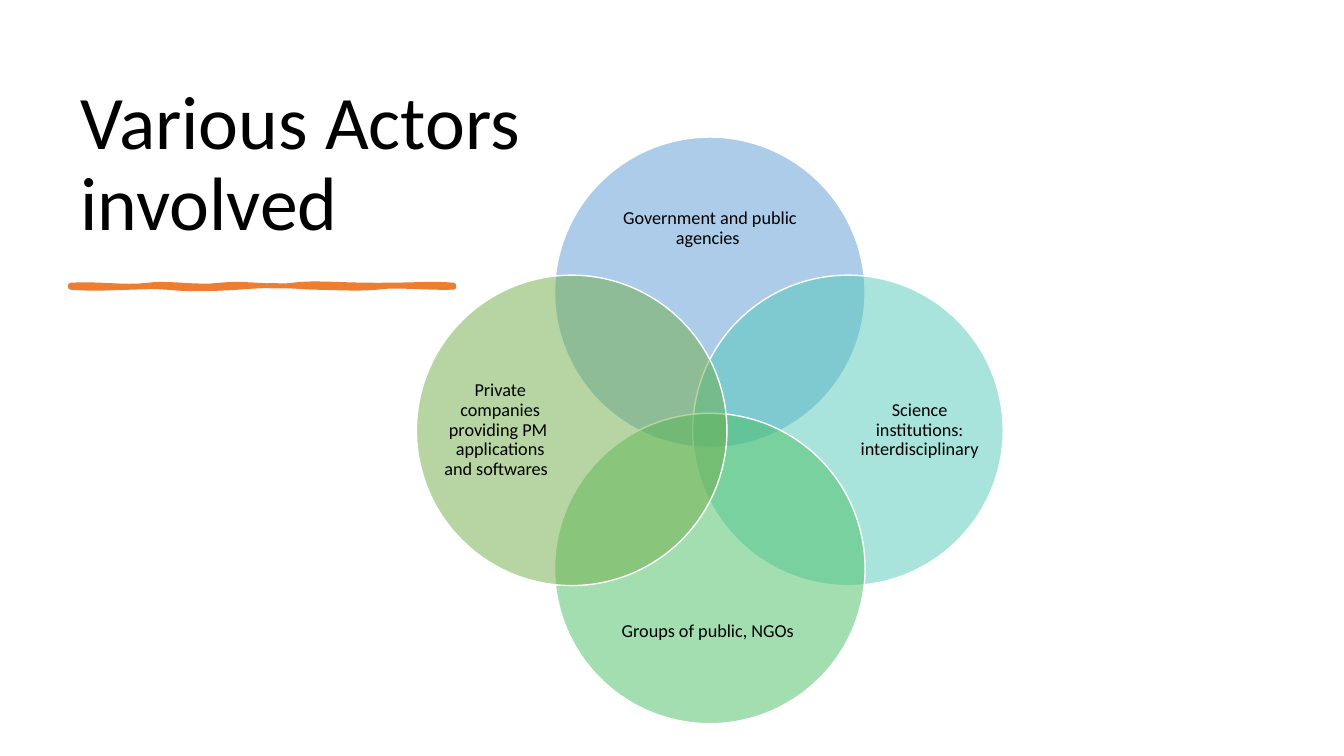
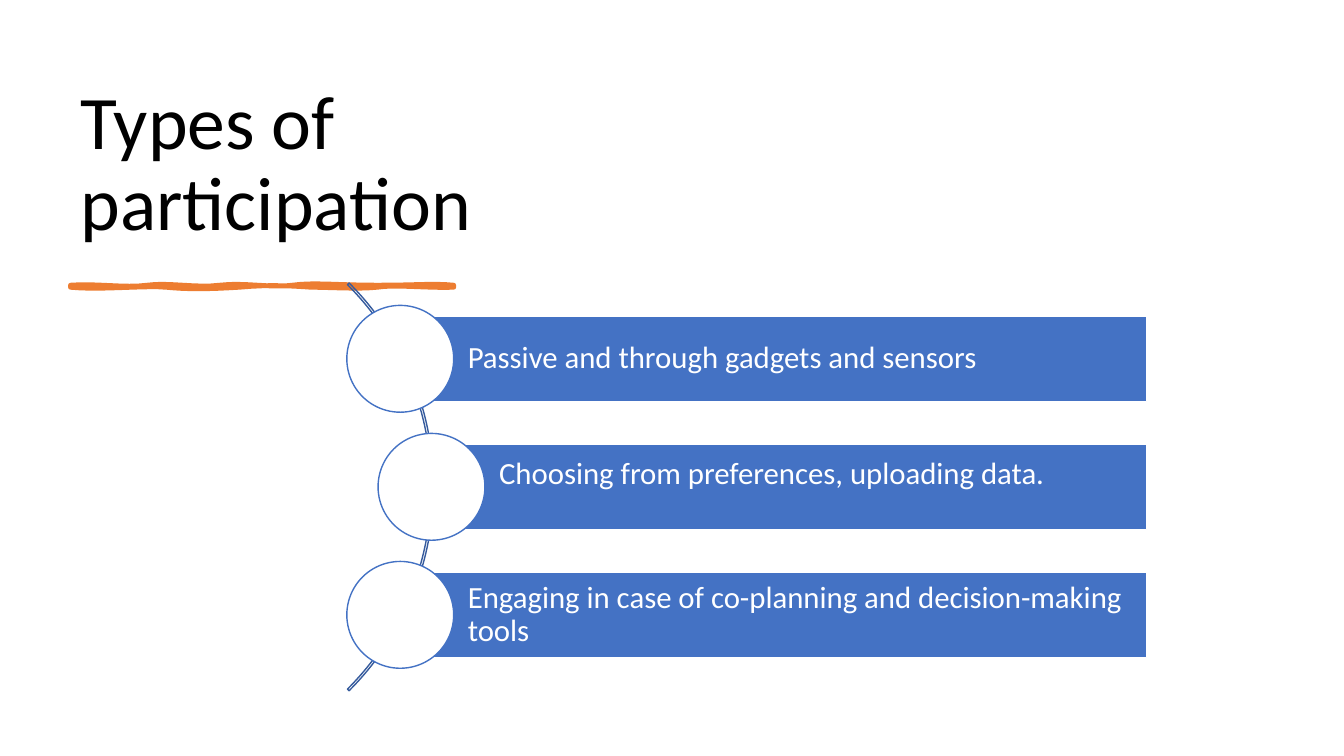
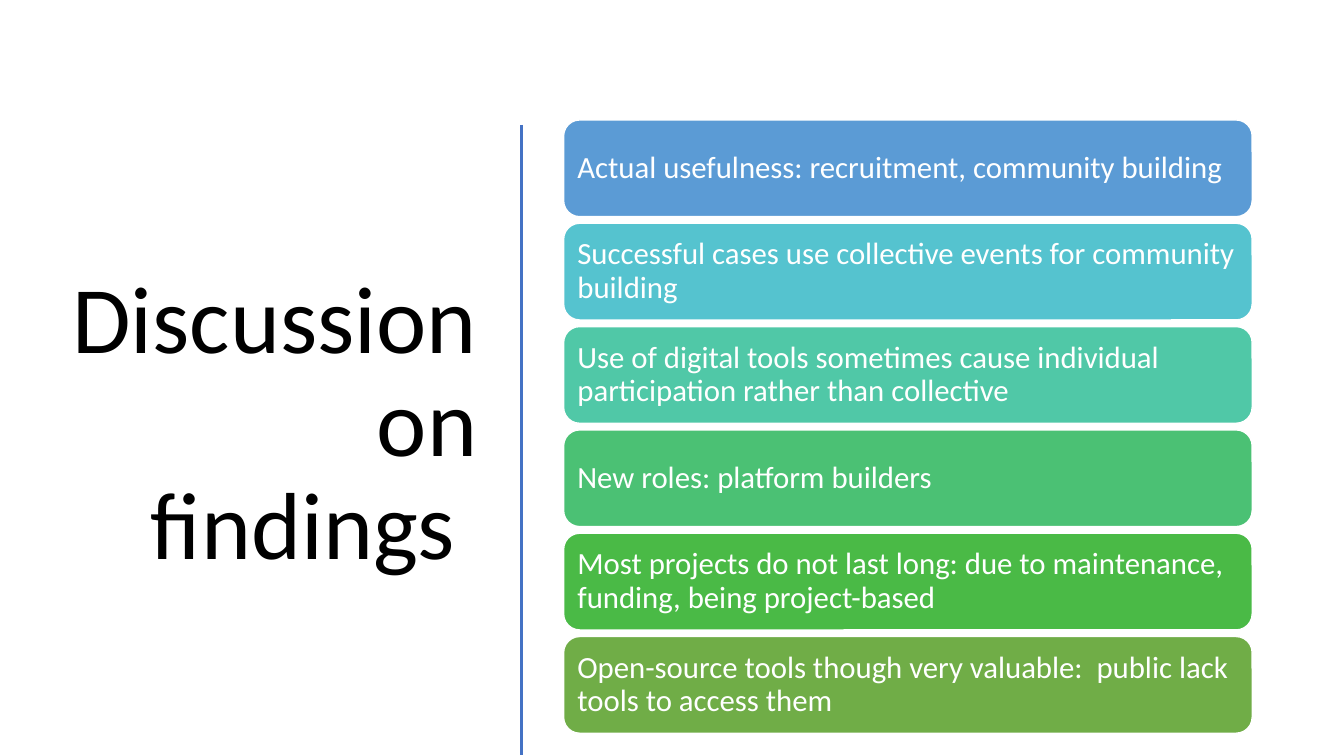
from pptx import Presentation
from pptx.dml.color import RGBColor
from pptx.enum.shapes import MSO_CONNECTOR, MSO_SHAPE as SHAPE
from pptx.enum.text import MSO_ANCHOR as ANCHOR, PP_ALIGN as ALIGN
from pptx.oxml.ns import qn
from pptx.util import Inches, Pt
from lxml import etree

# Shared style
FONT = "Calibri"
BLACK, WHITE, BLUE, ORANGE = "000000", "FFFFFF", "4472C4", "ED7D31"

# Slide 1: label, fill, direction from the centre
ACTORS_TITLE = "Various Actors involved"
ACTORS = [
    ("Government and public agencies ", "5B9BD5", (0, -1)),
    ("Science institutions: interdisciplinary ", "52CAB8", (1, 0)),
    ("Groups of public, NGOs ", "49BF64", (0, 1)),
    ("Private companies providing PM  applications and softwares  ", "70AD47", (-1, 0)),
]

# Slide 2: text, indent, bottom inset, line spacing
TYPES_TITLE = "Types of participation"
TYPES = [
    ("Passive and through gadgets and sensors", 0, 0.06, 0.9),
    ("Choosing from preferences, uploading data.", 0.31, 0.36, 1.0),
    ("Engaging in case of co-planning and decision-making tools", 0, 0.06, 0.9),
]

# Slide 3: text, fill
FINDINGS_TITLE = "Discussion on findings "
FINDINGS = [
    ("Actual usefulness: recruitment, community building", "5B9BD5"),
    ("Successful cases use collective events for community building", "55C3CF"),
    ("Use of digital tools sometimes cause individual participation rather than collective",
     "50C8A7"),
    ("New roles: platform builders", "4BC174"),
    ("Most projects do not last long: due to maintenance, funding, being project-based",
     "4ABA46"),
    ("Open-source tools though very valuable:  public lack tools to access them", "70AD47"),
]

# Hand-drawn rule: start point, then cubic curves (two controls and an end)
RULE_START = (0.7, 2.83)
RULE_CURVES = [
    ((0.95, 2.81), (1.24, 2.86), (1.46, 2.83)),
    ((1.68, 2.8), (1.94, 2.86), (2.18, 2.83)),
    ((2.43, 2.8), (2.69, 2.86), (2.9, 2.83)),
    ((3.12, 2.8), (3.33, 2.83), (3.74, 2.83)),
    ((4.15, 2.83), (4.29, 2.81), (4.5, 2.83)),
    ((4.5, 2.84), (4.5, 2.84), (4.5, 2.85)),
    ((4.24, 2.86), (3.92, 2.82), (3.74, 2.85)),
    ((3.56, 2.87), (3.26, 2.85), (3.09, 2.85)),
    ((2.93, 2.84), (2.69, 2.82), (2.37, 2.85)),
    ((2.06, 2.87), (1.84, 2.87), (1.65, 2.85)),
    ((1.46, 2.83), (0.96, 2.88), (0.7, 2.85)),
]


def rgb(color):
    return RGBColor.from_string(color)


def style(sp, fill=None, line=None, width=1, alpha=None):
    sp.shadow.inherit = False
    if fill:
        sp.fill.solid()
        sp.fill.fore_color.rgb = rgb(fill)
    else:
        sp.fill.background()
    if alpha:
        clr = sp.fill._xPr.find(qn("a:solidFill"))[0]
        etree.SubElement(clr, qn("a:alpha")).set("val", str(alpha * 1000))
    sp.line.color.rgb = rgb(line)
    sp.line.width = Pt(width)


def add_shape(slide, kind, box, **look):
    sp = slide.shapes.add_shape(kind, *map(Inches, box))
    style(sp, **look)
    return sp


def write(sp, text, size=22, color=WHITE, align=ALIGN.LEFT, anchor=ANCHOR.MIDDLE,
          insets=(0, 0, 0, 0), spacing=0.9):
    tf = sp.text_frame
    tf.word_wrap = True
    tf.vertical_anchor = anchor
    tf.margin_left, tf.margin_top, tf.margin_right, tf.margin_bottom = map(Inches, insets)
    p = tf.paragraphs[0]
    p.alignment = align
    p.line_spacing = spacing
    r = p.add_run()
    r.text = text
    r.font.name = FONT
    r.font.size = Pt(size)
    r.font.color.rgb = rgb(color)


def add_text(slide, box, text, **fmt):
    write(slide.shapes.add_textbox(*map(Inches, box)), text, **fmt)


def add_title(slide, text, box=(0.7, 0.36, 4.78, 2.14), size=54, **fmt):
    add_text(slide, box, text, size=size, color=BLACK, insets=(0.1, 0.05, 0.1, 0.05), **fmt)


def add_rule(slide, steps=8):
    points, a = [], RULE_START
    for b, c, d in RULE_CURVES:
        for t in (i / steps for i in range(1, steps + 1)):
            u = 1 - t
            points.append(tuple(
                Inches(u**3 * w + 3 * u * u * t * x + 3 * u * t * t * y + t**3 * z)
                for w, x, y, z in zip(a, b, c, d)))
        a = d
    builder = slide.shapes.build_freeform(*map(Inches, RULE_START))
    builder.add_line_segments(points, close=True)
    style(builder.convert_to_shape(), fill=ORANGE, line=ORANGE, width=3.5)


def actors_slide(slide):
    add_title(slide, ACTORS_TITLE, anchor=ANCHOR.BOTTOM)
    add_rule(slide)
    cx, cy, size, reach = 7.04, 4.27, 3.08, 1.37
    for text, fill, (dx, dy) in ACTORS:
        box = (cx + dx * reach - size / 2, cy + dy * reach - size / 2, size, size)
        add_shape(slide, SHAPE.OVAL, box, fill=fill, line=WHITE, alpha=50)
        w, h = (1.19, 2.37) if dx else (2.37, 0.98)
        label = (cx + dx * 2.08 - w / 2, cy + dy * 2 - h / 2, w, h)
        add_text(slide, label, text, size=13, color=BLACK, align=ALIGN.CENTER)


def types_slide(slide):
    add_title(slide, TYPES_TITLE, anchor=ANCHOR.BOTTOM)
    add_rule(slide)
    arc = add_shape(slide, SHAPE.BLOCK_ARC, (-1.42, 1.97, 5.72, 5.72), line="365B9D")
    for i, value in enumerate((189, 27, 0.004)):  # start, end, thickness
        arc.adjustments[i] = value
    left, right, mid, pitch, bar_h, dot = 3.97, 11.37, 3.56, 1.27, 0.85, 1.06
    for i, (text, indent, bottom, spacing) in enumerate(TYPES):
        x, y = left + indent, mid + i * pitch
        bar = add_shape(slide, SHAPE.RECTANGLE, (x, y - bar_h / 2, right - x, bar_h),
                        fill=BLUE, line=WHITE)
        write(bar, text, insets=(0.67, 0.06, 0.06, bottom), spacing=spacing)
        add_shape(slide, SHAPE.OVAL, (x - dot / 2, y - dot / 2, dot, dot),
                  fill=WHITE, line=BLUE)


def findings_slide(slide):
    add_title(slide, FINDINGS_TITLE, box=(0.52, 1.17, 4.31, 6.11), size=68,
              align=ALIGN.RIGHT)
    divider = slide.shapes.add_connector(
        MSO_CONNECTOR.STRAIGHT, *map(Inches, (5.17, 1.24, 5.17, 7.49)))
    divider.line.color.rgb = rgb(BLUE)
    divider.line.width = Pt(2)
    etree.SubElement(divider._element.spPr, qn("a:effectLst"))
    top, card_h, pitch = 1.19, 0.96, 1.025
    for i, (text, fill) in enumerate(FINDINGS):
        card = add_shape(slide, SHAPE.ROUNDED_RECTANGLE,
                         (5.59, top + i * pitch, 6.83, card_h), fill=fill, line=WHITE)
        write(card, text, insets=(0.09,) * 4)


def main():
    prs = Presentation()
    prs.slide_width, prs.slide_height = Inches(13.33), Inches(7.5)
    for build in (actors_slide, types_slide, findings_slide):
        build(prs.slides.add_slide(prs.slide_layouts[6]))
    prs.save("out.pptx")


if __name__ == "__main__":
    main()
